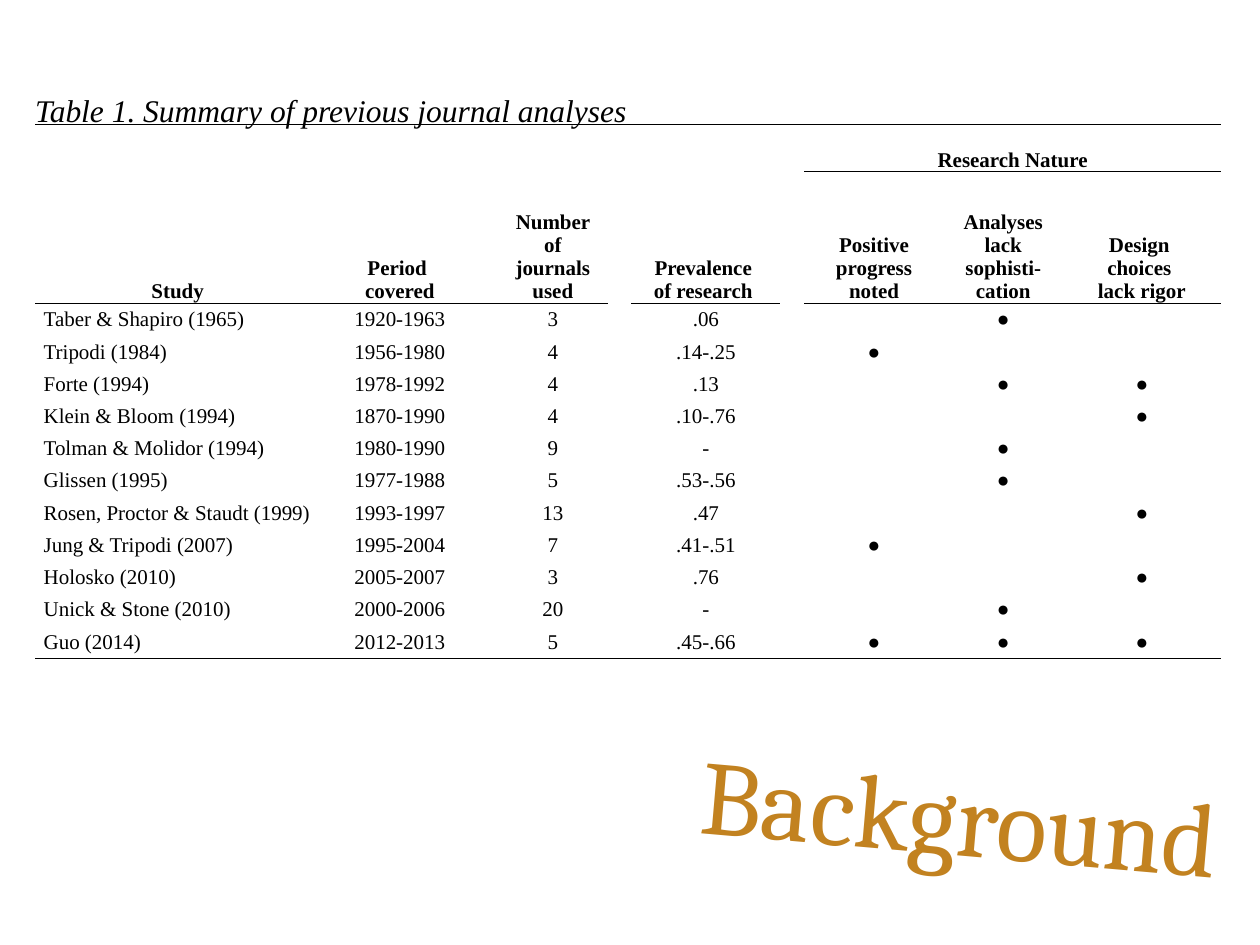
from lxml import etree
from pptx import Presentation
from pptx.dml.color import RGBColor
from pptx.enum.text import MSO_ANCHOR, MSO_AUTO_SIZE, PP_ALIGN
from pptx.oxml.ns import qn
from pptx.util import Cm, Pt

LEFT, CENTER, RIGHT = PP_ALIGN.LEFT, PP_ALIGN.CENTER, PP_ALIGN.RIGHT
MIDDLE, BOTTOM = MSO_ANCHOR.MIDDLE, MSO_ANCHOR.BOTTOM
FIT_SHAPE = MSO_AUTO_SIZE.SHAPE_TO_FIT_TEXT

COLORS = {"text": "000000", "rule": "000000", "title": "C28220"}
SERIF = "Times New Roman"
DOT = "\u25cf"

COL_WIDTHS = [5.85, 3, 0.48, 2.21, 0.48, 3, 0.48, 2.82, 2.39, 3.2]
HEADER_HEIGHTS = [0.95, 2.66]
ROW_HEIGHT = 0.65
GAPS = (4, 6)
NATURE = 7
DATA_COLS = (0, 1, 3, 5, 7, 8, 9)

HEADERS = ["Study ", "Period \ncovered", "Number of journals used",
           "Prevalence \nof research ", "Positive progress\nnoted",
           "Analyses lack sophisti-cation", "Design \nchoices \nlack rigor"]
STUDIES = [
    ("Taber & Shapiro (1965)", "1920-1963", "3", ".06", (8,)),
    ("Tripodi (1984)", "1956-1980", "4", ".14-.25", (7,)),
    ("Forte (1994)", "1978-1992", "4", ".13", (8, 9)),
    ("Klein & Bloom (1994)", "1870-1990", "4", ".10-.76", (9,)),
    ("Tolman & Molidor (1994)", "1980-1990", "9", "-", (8,)),
    ("Glissen (1995)", "1977-1988", "5", ".53-.56", (8,)),
    ("Rosen, Proctor & Staudt (1999)", "1993-1997", "13", ".47", (9,)),
    ("Jung & Tripodi (2007)", "1995-2004", "7", ".41-.51", (7,)),
    ("Holosko (2010)", "2005-2007", "3", ".76", (9,)),
    ("Unick & Stone (2010)", "2000-2006", "20", "-", (8,)),
    ("Guo (2014)", "2012-2013", "5", ".45-.66", (7, 8, 9)),
]


def style(p, size, color, name=SERIF, bold=False, italic=False, align=LEFT):
    p.alignment = align
    p.font.size = Pt(size)
    p.font.name = name
    p.font.bold = bold
    p.font.italic = italic
    p.font.color.rgb = RGBColor.from_string(COLORS[color])


def set_borders(cell, ruled):
    tcPr = cell._tc.get_or_add_tcPr()
    for i, side in enumerate(("lnL", "lnR", "lnT", "lnB")):
        ln = etree.Element(qn(f"a:{side}"), w=str(Pt(1)))
        if side in ruled:
            fill = etree.SubElement(ln, qn("a:solidFill"))
            etree.SubElement(fill, qn("a:srgbClr"), val=COLORS["rule"])
        else:
            etree.SubElement(ln, qn("a:noFill"))
        tcPr.insert(i, ln)


def ruled_sides(row, col, last):
    sides = set()
    if row == 0 or (row == 1 and col >= NATURE) or (row == 2 and col not in GAPS):
        sides.add("lnT")
    if row == last or (row < 2 and col not in GAPS):
        sides.add("lnB")
    return sides


def fill_cell(cell, text, header, align):
    cell.fill.background()
    cell.margin_left = cell.margin_right = Cm(0.17)
    cell.margin_top = cell.margin_bottom = 0
    cell.vertical_anchor = BOTTOM if header else MIDDLE
    p = cell.text_frame.paragraphs[0]
    p.text = text
    style(p, 12, "text", bold=header, italic=text == "-", align=align)
    p.space_before = p.space_after = Pt(2)
    if not text:
        etree.SubElement(p._p, qn("a:endParaRPr"), sz="1200")


def table_texts():
    texts = {(0, NATURE): "Research Nature"}
    for col, text in zip(DATA_COLS, HEADERS):
        texts[(1 if col >= NATURE else 0, col)] = text
    for row, (*values, dots) in enumerate(STUDIES, 2):
        texts.update({(row, col): text for col, text in zip(DATA_COLS, values)})
        texts.update({(row, col): DOT for col in dots})
    return texts


def add_study_table(s, left, top):
    heights = HEADER_HEIGHTS + [ROW_HEIGHT] * len(STUDIES)
    rows, cols = len(heights), len(COL_WIDTHS)
    table = s.shapes.add_table(rows, cols, Cm(left), Cm(top),
                               Cm(sum(COL_WIDTHS)), Cm(sum(heights))).table
    table.first_row = table.horz_banding = False
    for column, width in zip(table.columns, COL_WIDTHS):
        column.width = Cm(width)
    for row, height in zip(table.rows, heights):
        row.height = Cm(height)
    texts = table_texts()
    for row in range(rows):
        for col in range(cols):
            cell = table.cell(row, col)
            align = LEFT if row > 1 and col == 0 else CENTER
            fill_cell(cell, texts.get((row, col), ""), row < 2, align)
            set_borders(cell, ruled_sides(row, col, rows - 1))
    for col in range(NATURE):
        table.cell(0, col).merge(table.cell(1, col))
    table.cell(0, NATURE).merge(table.cell(0, cols - 1))


def add_caption(s, left, top, width, height):
    sp = s.shapes.add_textbox(Cm(left), Cm(top), Cm(width), Cm(height))
    tf = sp.text_frame
    tf.word_wrap = False
    tf.auto_size = FIT_SHAPE
    p = tf.paragraphs[0]
    p.text = "Table 1. Summary of previous journal analyses"
    p.line_spacing = 2.0
    style(p, 18, "text", italic=True)


def add_title(s, left, top, width, height):
    sp = s.shapes.add_textbox(Cm(left), Cm(top), Cm(width), Cm(height))
    sp.rotation = 5
    tf = sp.text_frame
    tf.word_wrap = True
    tf.vertical_anchor = MIDDLE
    p = tf.paragraphs[0]
    p.text = "Background"
    style(p, 60, "title", name="Cambria", align=RIGHT)


prs = Presentation()
prs.slide_width, prs.slide_height = Cm(25.4), Cm(19.05)
s = prs.slides.add_slide(prs.slide_layouts[6])
add_study_table(s, 0.71, 2.51)
add_caption(s, 0.46, 0.94, 12.55, 1.57)
add_title(s, 3.28, 14.35, 21.56, 3.2)
prs.save("out.pptx")
